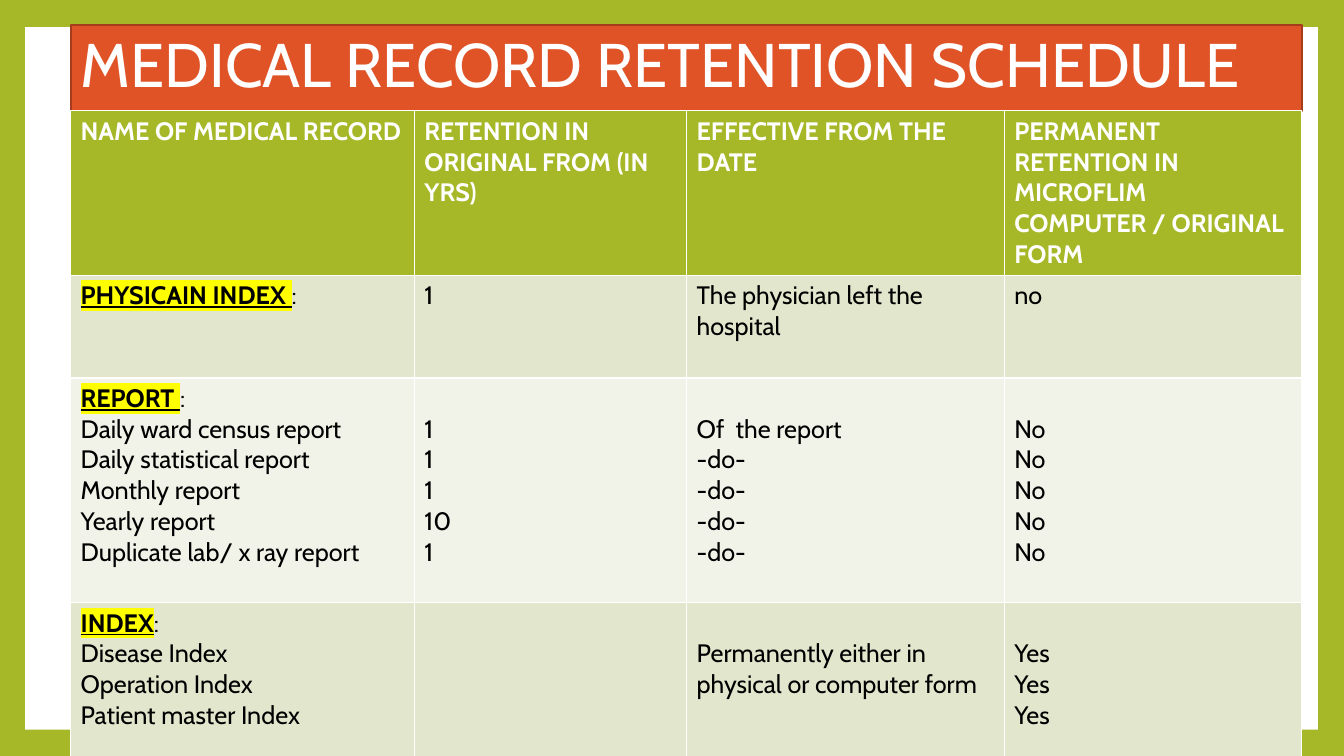
from dataclasses import dataclass

from lxml import etree
from pptx import Presentation
from pptx.dml.color import RGBColor
from pptx.enum.shapes import MSO_SHAPE
from pptx.enum.text import MSO_ANCHOR, MSO_AUTO_SIZE, PP_ALIGN
from pptx.oxml.ns import qn
from pptx.util import Inches, Pt

RECTANGLE = MSO_SHAPE.RECTANGLE
MIDDLE = MSO_ANCHOR.MIDDLE
NO_FIT = MSO_AUTO_SIZE.NONE
LEFT = PP_ALIGN.LEFT
TITLE_ONLY = 5


@dataclass(frozen=True)
class Theme:
    font: str = "Cabin"
    green: str = "A6B727"
    orange: str = "DF5327"
    rust: str = "A53D1D"
    white: str = "FFFFFF"
    black: str = "000000"
    yellow: str = "FFFF00"
    bands: tuple = ("E1E6CD", "F1F3E8")
    title_size: int = 44
    table_size: int = 18


THEME = Theme()
COLUMN_WIDTHS = (3.41, 2.7, 3.15, 2.95)
ROW_HEIGHTS = (1.63, 1.02, 2.23, 1.53)
TOP_MARGIN = 0.05
LINE_HEIGHT = 0.305

HEADERS = (
    "NAME OF MEDICAL RECORD",
    "RETENTION IN ORIGINAL FROM (IN YRS)",
    "EFFECTIVE FROM THE DATE",
    "PERMANENT RETENTION IN MICROFLIM COMPUTER / ORIGINAL FORM",
)
SECTIONS = (
    ("PHYSICAIN INDEX ", (), (["1"], ["The physician left the hospital"], ["no"])),
    (
        "REPORT ",
        (
            "Daily ward census report",
            "Daily statistical report",
            "Monthly report",
            "Yearly report",
            "Duplicate lab/ x ray report",
        ),
        (
            ["1", "1", "1", "10", "1"],
            ["Of  the report"] + ["-do-"] * 4,
            ["No"] * 5,
        ),
    ),
    (
        "INDEX",
        ("Disease Index", "Operation Index", "Patient master Index"),
        ([], ["Permanently either in physical or computer form"], ["Yes"] * 3),
    ),
)


def color(value):
    return RGBColor.from_string(value)


def paint(target, value):
    target.fill.solid()
    target.fill.fore_color.rgb = color(value)


def add_span(para, text, size, ink, bold=False):
    span = para.add_run()
    span.text = text
    span.font.name = THEME.font
    span.font.size = Pt(size)
    span.font.bold = bold
    span.font.color.rgb = color(ink)
    return span


def highlight(span):
    span.font.underline = True
    properties = span.font.fill._xPr
    marker = etree.Element(qn("a:highlight"))
    etree.SubElement(marker, qn("a:srgbClr"), val=THEME.yellow)
    properties.find(qn("a:solidFill")).addnext(marker)


def add_lines(frame, lines, ink=THEME.black, bold=False, continued=False):
    for index, line in enumerate(lines):
        first = index == 0 and not continued
        para = frame.paragraphs[0] if first else frame.add_paragraph()
        add_span(para, line, THEME.table_size, ink, bold)


def add_panel(page):
    panel = page.shapes.add_shape(
        RECTANGLE, Inches(0.25), Inches(0.27), Inches(12.82), Inches(6.97)
    )
    panel.shadow.inherit = False
    paint(panel, THEME.white)
    panel.line.fill.background()
    page.shapes.title.element.addprevious(panel.element)


def fill_title(page, text):
    title = page.shapes.title
    title.left, title.top = Inches(0.7), Inches(0.25)
    title.width, title.height = Inches(12.21), Inches(0.85)
    paint(title, THEME.orange)
    title.line.color.rgb = color(THEME.rust)
    title.line.width = Pt(1.5)
    frame = title.text_frame
    frame.word_wrap = True
    frame.auto_size = NO_FIT
    frame.vertical_anchor = MIDDLE
    para = frame.paragraphs[0]
    para.alignment = LEFT
    para.line_spacing = 0.9
    add_span(para, text, THEME.title_size, THEME.white)


def fill_header(cells):
    for cell, text in zip(cells, HEADERS):
        paint(cell, THEME.green)
        add_lines(cell.text_frame, [text], THEME.white, bold=True)


def fill_section(cells, section, band):
    heading, records, columns = section
    for cell in cells:
        paint(cell, band)
    frame = cells[0].text_frame
    para = frame.paragraphs[0]
    highlight(add_span(para, heading, THEME.table_size, THEME.black, bold=True))
    add_span(para, ":", THEME.table_size, THEME.black)
    add_lines(frame, records, continued=True)
    for cell, lines in zip(cells[1:], columns):
        if records:
            cell.margin_top = Inches(TOP_MARGIN + LINE_HEIGHT)
        add_lines(cell.text_frame, lines)


def add_schedule(page):
    table = page.shapes.add_table(
        len(ROW_HEIGHTS), len(COLUMN_WIDTHS), Inches(0.7), Inches(1.1),
        Inches(sum(COLUMN_WIDTHS)), Inches(sum(ROW_HEIGHTS)),
    ).table
    for column, width in zip(table.columns, COLUMN_WIDTHS):
        column.width = Inches(width)
    for row, height in zip(table.rows, ROW_HEIGHTS):
        row.height = Inches(height)
    header, *body = [list(row.cells) for row in table.rows]
    fill_header(header)
    for index, (cells, section) in enumerate(zip(body, SECTIONS)):
        fill_section(cells, section, THEME.bands[index % 2])


def main():
    deck = Presentation()
    deck.slide_width, deck.slide_height = Inches(13.33), Inches(7.5)
    page = deck.slides.add_slide(deck.slide_layouts[TITLE_ONLY])
    paint(page.background, THEME.green)
    add_panel(page)
    fill_title(page, "MEDICAL RECORD RETENTION SCHEDULE")
    add_schedule(page)
    deck.save("out.pptx")


if __name__ == "__main__":
    main()
